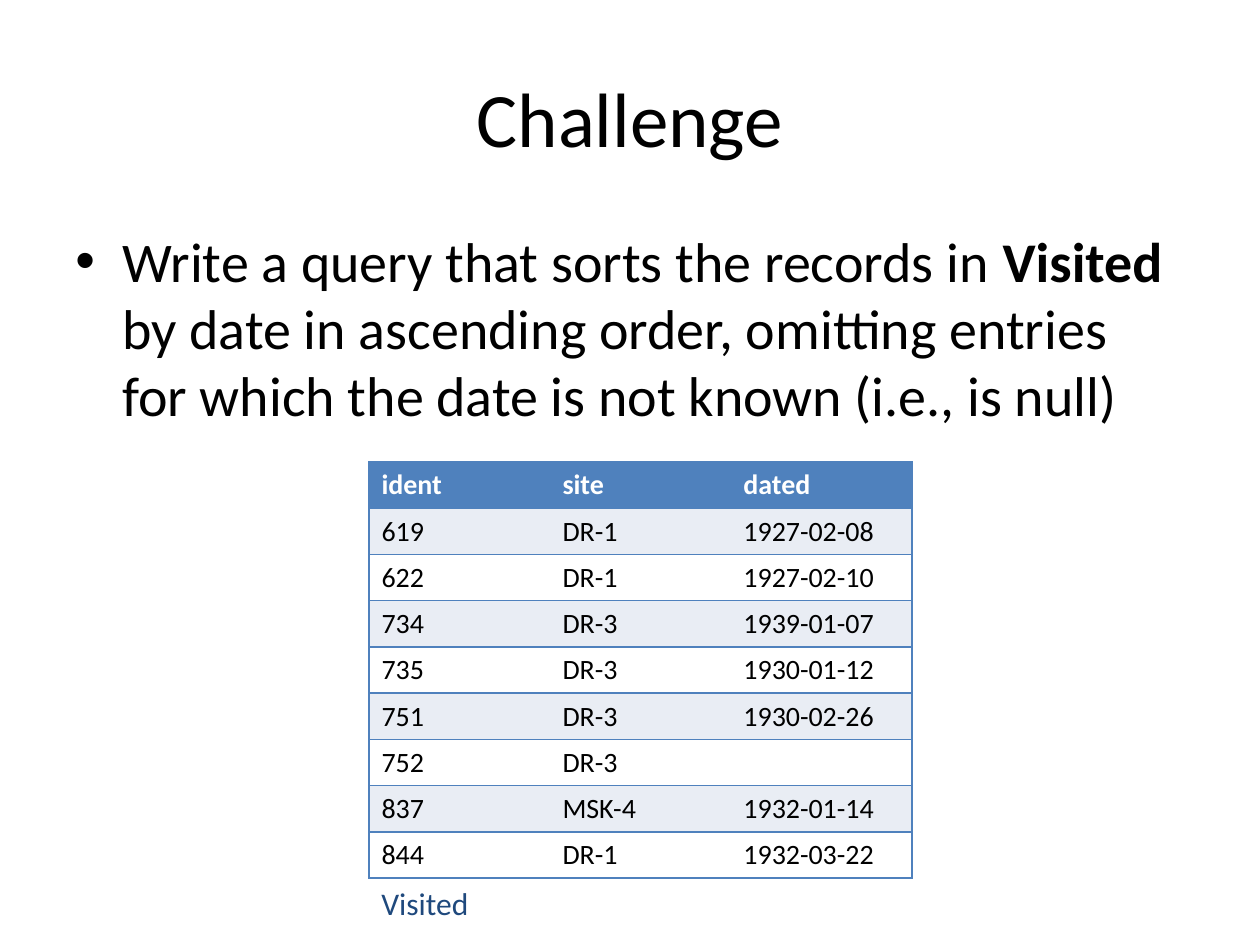
"""Build the Challenge slide with its table of visits."""
from dataclasses import dataclass
from typing import NamedTuple

from lxml import etree
from pptx import Presentation
from pptx.dml.color import RGBColor
from pptx.enum.text import MSO_ANCHOR, MSO_AUTO_SIZE, PP_ALIGN
from pptx.oxml.ns import qn
from pptx.util import Emu, Pt

CENTER = PP_ALIGN.CENTER
MIDDLE = MSO_ANCHOR.MIDDLE
GROW = MSO_AUTO_SIZE.SHAPE_TO_FIT_TEXT
PX = 914400 // 126
TITLE_ONLY = 5


@dataclass(frozen=True)
class Theme:
    """Font, colours and type sizes of the slide."""
    font: str = "Calibri"
    ink: str = "000000"
    paper: str = "FFFFFF"
    accent: str = "4F81BD"
    band: str = "E9EDF4"
    caption: str = "1F497D"
    title_pt: int = 44
    body_pt: int = 32
    cell_pt: int = 16
    caption_pt: int = 18


class Box(NamedTuple):
    """A frame in pixels."""
    left: int
    top: int
    width: int
    height: int

    def emu(self) -> list[Emu]:
        """Return the frame in EMU."""
        return [Emu(v * PX) for v in self]


class Visit(NamedTuple):
    """One row of the Visited table."""
    ident: str
    site: str
    dated: str


THEME = Theme()
TITLE_BOX = Box(63, 38, 1134, 158)
BODY_BOX = Box(63, 220, 1134, 624)
COL_W, ROW_H, INDENT = 181, 46, 47
CAPTION_BOX = Box(369, 878, 113, 50)
BODY = [
    ("Write a query that sorts the records in ", False),
    ("Visited", True),
    (" by date in ascending order, omitting entries for which the date "
     "is not known (i.e., is null)", False),
]
ROWS = [
    Visit("ident", "site", "dated"),
    Visit("619", "DR-1", "1927-02-08"),
    Visit("622", "DR-1", "1927-02-10"),
    Visit("734", "DR-3", "1939-01-07"),
    Visit("735", "DR-3", "1930-01-12"),
    Visit("751", "DR-3", "1930-02-26"),
    Visit("752", "DR-3", ""),
    Visit("837", "MSK-4", "1932-01-14"),
    Visit("844", "DR-1", "1932-03-22"),
]
TABLE_BOX = Box(369, 462, COL_W * len(Visit._fields), ROW_H * len(ROWS))


def style(r, size: int, color: str, bold: bool = False) -> None:
    """Format a run."""
    r.font.name = THEME.font
    r.font.size = Pt(size)
    r.font.bold = bold
    r.font.color.rgb = RGBColor.from_string(color)


def add_title(s, text: str) -> None:
    """Fill and place the title placeholder."""
    sp = s.shapes.title
    sp.left, sp.top, sp.width, sp.height = TITLE_BOX.emu()
    tf = sp.text_frame
    tf.text = text
    tf.vertical_anchor = MIDDLE
    p = tf.paragraphs[0]
    p.alignment = CENTER
    style(p.runs[0], THEME.title_pt, THEME.ink)


def add_body(s) -> None:
    """Add the bulleted task."""
    tf = s.shapes.add_textbox(*BODY_BOX.emu()).text_frame
    tf.word_wrap = True
    p = tf.paragraphs[0]
    p.space_before = Pt(6.4)
    for text, bold in BODY:
        r = p.add_run()
        r.text = text
        style(r, THEME.body_pt, THEME.ink, bold)
    ppr = p._p.get_or_add_pPr()
    ppr.set("marL", str(INDENT * PX))
    ppr.set("indent", str(-INDENT * PX))
    etree.SubElement(ppr, qn("a:buFont"), typeface="Arial")
    etree.SubElement(ppr, qn("a:buChar"), char="\u2022")


def set_borders(cell, shown: set[str]) -> None:
    """Draw the shown sides of a cell and clear the others."""
    tcpr = cell._tc.get_or_add_tcPr()
    for i, side in enumerate("LRTB"):
        ln = etree.Element(qn(f"a:ln{side}"), w=str(Pt(1)))
        if side in shown:
            fill = etree.SubElement(ln, qn("a:solidFill"))
            etree.SubElement(fill, qn("a:srgbClr"), val=THEME.accent)
        else:
            etree.SubElement(ln, qn("a:noFill"))
        tcpr.insert(i, ln)


def fill_cell(cell, text: str, row: int, col: int) -> None:
    """Write and format one table cell."""
    head = row == 0
    fill = THEME.accent if head else THEME.band if row % 2 else THEME.paper
    cell.fill.solid()
    cell.fill.fore_color.rgb = RGBColor.from_string(fill)
    ends = {0: "L", len(Visit._fields) - 1: "R"}
    set_borders(cell, {"T", "B", ends.get(col, "T")})
    p = cell.text_frame.paragraphs[0]
    if text:
        p.text = text
        style(p.runs[0], THEME.cell_pt, THEME.paper if head else THEME.ink, head)
    else:
        etree.SubElement(p._p, qn("a:endParaRPr"), sz=str(THEME.cell_pt * 100))


def add_visits(s) -> None:
    """Add the Visited table."""
    table = s.shapes.add_table(len(ROWS), len(Visit._fields), *TABLE_BOX.emu()).table
    for i, visit in enumerate(ROWS):
        for j, text in enumerate(visit):
            fill_cell(table.cell(i, j), text, i, j)


def add_caption(s, text: str) -> None:
    """Add the table name below the table."""
    tf = s.shapes.add_textbox(*CAPTION_BOX.emu()).text_frame
    tf.word_wrap = False
    tf.auto_size = GROW
    tf.text = text
    style(tf.paragraphs[0].runs[0], THEME.caption_pt, THEME.caption)


def main() -> None:
    """Build and save the slide."""
    prs = Presentation()
    prs.slide_width, prs.slide_height = Emu(1260 * PX), Emu(945 * PX)
    s = prs.slides.add_slide(prs.slide_layouts[TITLE_ONLY])
    add_title(s, "Challenge")
    add_body(s)
    add_visits(s)
    add_caption(s, "Visited")
    prs.save("out.pptx")


main()
